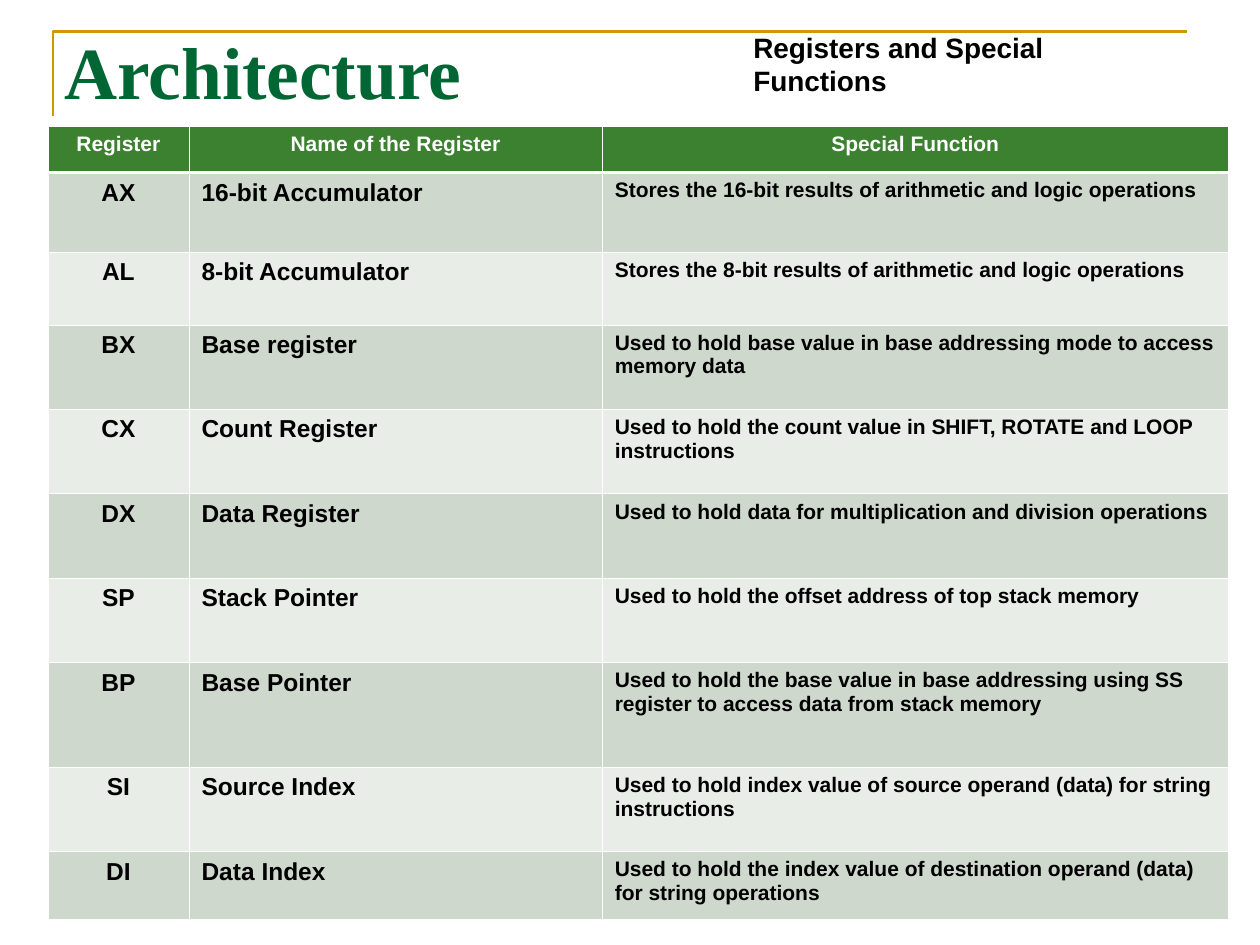
from pptx import Presentation
from pptx.dml.color import RGBColor
from pptx.enum.text import MSO_ANCHOR, MSO_AUTO_SIZE, PP_ALIGN
from pptx.oxml import parse_xml
from pptx.oxml.ns import nsdecls
from pptx.util import Inches, Pt

UNIT = 0.1
TITLE = dict(name="Times New Roman", size=Pt(42), bold=True)
NOTE = dict(name="Arial", size=Pt(16), bold=True)
SMALL = dict(name="Arial", size=Pt(12), bold=True)
LARGE = dict(name="Arial", size=Pt(14), bold=True)

HEAD = ("Register", "Name of the Register", "Special Function")
ROWS = [
    ("AX", "16-bit Accumulator", "Stores the 16-bit results of arithmetic and logic operations"),
    ("AL", "8-bit Accumulator", "Stores the 8-bit results of arithmetic and logic operations"),
    ("BX", "Base register", "Used to hold base value in base addressing mode to access memory data"),
    ("CX", "Count Register", "Used to hold the count value in SHIFT, ROTATE and LOOP instructions"),
    ("DX", "Data Register", "Used to hold data for multiplication and division operations"),
    ("SP", "Stack Pointer", "Used to hold the offset address of top stack memory"),
    ("BP", "Base Pointer", "Used to hold the base value in base addressing using SS register "
                           "to access data from stack memory"),
    ("SI", "Source Index", "Used to hold index value of source operand (data) for string instructions"),
    ("DI", "Data Index", "Used to hold the index value of destination operand (data) for string operations"),
]
WIDTHS = (11.2, 32.8, 49.7)
HEIGHTS = (3.7, 6.3, 5.8, 6.7, 6.7, 6.7, 6.7, 8.3, 6.7, 5.4)


def hue(code):
    return RGBColor.from_string(code)


def span(count):
    return Inches(count * UNIT)


class Deck:
    gold, green, black, white = "CC9900", "006633", "000000", "FFFFFF"
    header, bands = "3B812F", ("E8EDE8", "CED8CD")
    thin, thick = 0.45, 1.47

    def __init__(self):
        self.file = Presentation()
        self.file.slide_width, self.file.slide_height = span(100), span(75)
        self.slide = self.file.slides.add_slide(self.file.slide_layouts[5])

    def label(self, frame, text, style, color, align=PP_ALIGN.LEFT):
        para = frame.paragraphs[0]
        para.alignment = align
        run = para.add_run()
        run.text = text
        for key, value in style.items():
            setattr(run.font, key, value)
        run.font.color.rgb = hue(color)

    def title(self, text, box):
        shape = self.slide.shapes.title
        for key, value in zip(("left", "top", "width", "height"), box):
            setattr(shape, key, span(value))
        frame = shape.text_frame
        frame.auto_size = MSO_AUTO_SIZE.NONE
        frame.vertical_anchor = MSO_ANCHOR.MIDDLE
        self.label(frame, text, TITLE, self.green)

    def note(self, text, box):
        frame = self.slide.shapes.add_textbox(*map(span, box)).text_frame
        frame.word_wrap = False
        frame.auto_size = MSO_AUTO_SIZE.SHAPE_TO_FIT_TEXT
        self.label(frame, text, NOTE, self.black)

    def frame(self, start, *points):
        pen = self.slide.shapes.build_freeform(*map(span, start))
        pen.add_line_segments([tuple(map(span, spot)) for spot in points], close=False)
        shape = pen.convert_to_shape()
        shape.shadow.inherit = False
        shape.fill.background()
        shape.line.color.rgb = hue(self.gold)
        shape.line.width = Pt(1.5)

    def edge(self, cell, row):
        props = cell._tc.get_or_add_tcPr()
        heavy = {0: "B", 1: "T"}.get(row)
        for spot, side in enumerate("LRTB"):
            width = Pt(self.thick if side == heavy else self.thin)
            props.insert(spot, parse_xml(
                f'<a:ln{side} {nsdecls("a")} w="{width}"><a:solidFill>'
                f'<a:srgbClr val="{self.white}"/></a:solidFill></a:ln{side}>'))

    def table(self, rows, left, top, widths, heights):
        grid = self.slide.shapes.add_table(
            len(rows), len(widths), span(left), span(top),
            span(sum(widths)), span(sum(heights))).table
        for col, width in zip(grid.columns, widths):
            col.width = span(width)
        for line, height in zip(grid.rows, heights):
            line.height = span(height)
        for r, texts in enumerate(rows):
            for c, text in enumerate(texts):
                cell = grid.cell(r, c)
                cell.fill.solid()
                cell.fill.fore_color.rgb = hue(self.bands[r % 2] if r else self.header)
                self.edge(cell, r)
                self.label(cell.text_frame, text,
                           LARGE if r and c < 2 else SMALL,
                           self.black if r else self.white,
                           PP_ALIGN.LEFT if r and c else PP_ALIGN.CENTER)


def main():
    deck = Deck()
    deck.frame((4.2, 9.2), (4.2, 2.5), (94.2, 2.5))
    deck.title("Architecture", (4.1, 2.9, 65.8, 5.3))
    deck.table([HEAD, *ROWS], 3.8, 10, WIDTHS, HEIGHTS)
    deck.note("Registers and Special Functions", (58.8, 1.9, 36.2, 3.7))
    deck.file.save("out.pptx")


if __name__ == "__main__":
    main()
